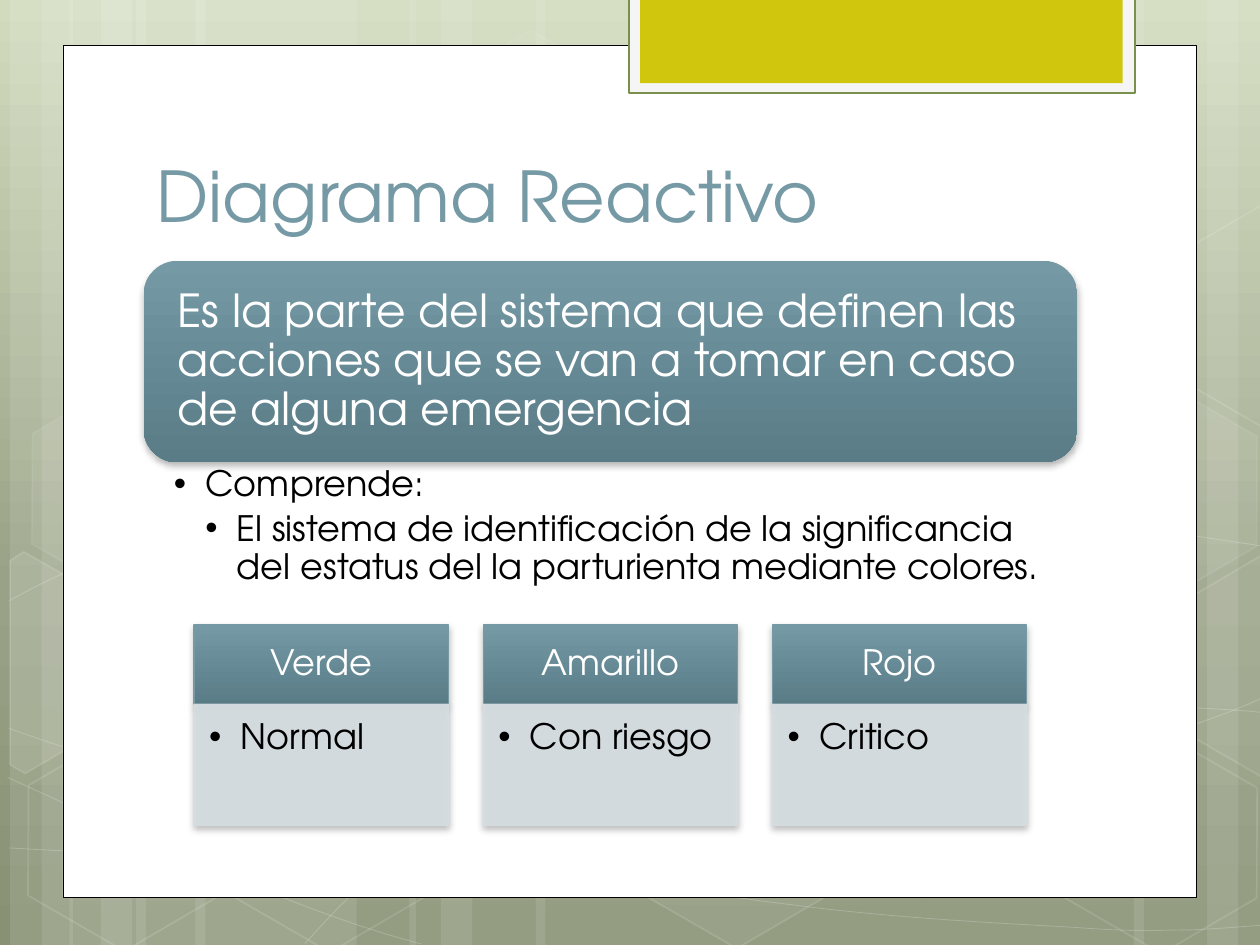
from copy import deepcopy

from lxml import etree
from pptx import Presentation
from pptx.dml.color import RGBColor
from pptx.enum.shapes import MSO_SHAPE
from pptx.enum.text import MSO_ANCHOR, MSO_AUTO_SIZE, PP_ALIGN
from pptx.oxml.ns import qn
from pptx.util import Inches, Pt

RECT, ROUNDED, HEXAGON = MSO_SHAPE.RECTANGLE, MSO_SHAPE.ROUNDED_RECTANGLE, MSO_SHAPE.HEXAGON
TOP, MIDDLE, BOTTOM = MSO_ANCHOR.TOP, MSO_ANCHOR.MIDDLE, MSO_ANCHOR.BOTTOM
LEFT, CENTER = PP_ALIGN.LEFT, PP_ALIGN.CENTER
NO_AUTOFIT = MSO_AUTO_SIZE.NONE
FONT = "TeX Gyre Adventor"
WHITE, BLACK, TEAL, PALE = "FFFFFF", "000000", "759AA5", "D6DEE1"
TEAL_GRADIENT = (TEAL, "597C87")


def paint(shape, fill=None, alpha=100, line=None, width=1, line_alpha=100, shadow=False):
    """Set fill (hex, or two hex colours for a gradient), outline and shadow."""
    if fill is None:
        shape.fill.background()
    elif isinstance(fill, tuple):
        shape.fill.gradient()
        shape.fill.gradient_angle = 270
        for stop, color in zip(shape.fill.gradient_stops, fill):
            stop.color.rgb = RGBColor.from_string(color)
    else:
        shape.fill.solid()
        shape.fill.fore_color.rgb = RGBColor.from_string(fill)
    if line is None:
        shape.line.fill.background()
    else:
        shape.line.color.rgb = RGBColor.from_string(line)
        shape.line.width = Pt(width)
    properties = shape._element.spPr
    for color_at, opacity in (("a:solidFill/a:srgbClr", alpha), ("a:ln//a:srgbClr", line_alpha)):
        for color in properties.xpath(color_at):
            if opacity < 100:
                etree.SubElement(color, qn("a:alpha"), val=str(opacity * 1000))
    shape.shadow.inherit = False
    if shadow:
        effects = properties.find(qn("a:effectLst"))
        outer = etree.SubElement(effects, qn("a:outerShdw"), blurRad=str(Pt(4)),
                                 dist=str(Pt(2)), dir="5400000", rotWithShape="0")
        color = etree.SubElement(outer, qn("a:srgbClr"), val=BLACK)
        etree.SubElement(color, qn("a:alpha"), val="28000")


def write(shape, text, size=20, color=BLACK, align=LEFT, anchor=TOP, insets=(0.1, 0.05, 0.1, 0.05),
          level=0, bullet_indent=None, spacing=0.9, after=0):
    """Add one formatted paragraph to a shape."""
    frame = shape.text_frame
    frame.word_wrap = True
    frame.auto_size = NO_AUTOFIT
    frame.vertical_anchor = anchor
    frame.margin_left, frame.margin_top, frame.margin_right, frame.margin_bottom = map(Inches, insets)
    paragraph = frame.add_paragraph() if frame.text else frame.paragraphs[0]
    if bullet_indent is not None:
        settings = paragraph._p.get_or_add_pPr()
        settings.set("marL", str(Inches(bullet_indent)))
        settings.set("indent", str(-Inches(0.25)))
        etree.SubElement(settings, qn("a:buFont"), typeface="Arial")
        etree.SubElement(settings, qn("a:buChar"), char="•")
    paragraph.level = level
    paragraph.alignment = align
    paragraph.line_spacing = spacing
    paragraph.space_before = Pt(0)
    paragraph.space_after = Pt(after)
    run = paragraph.add_run()
    run.text = text
    run.font.name = FONT
    run.font.size = Pt(size)
    run.font.color.rgb = RGBColor.from_string(color)


prs = Presentation()
prs.slide_width, prs.slide_height = Inches(10), Inches(7.5)
slide = prs.slides.add_slide(prs.slide_layouts[1])
shapes = slide.shapes

# Background gradient with three stops
backdrop = slide.background.fill
backdrop.gradient()
backdrop.gradient_angle = 270
first_stop = slide._element.xpath(".//p:bg//a:gs")[0]
first_stop.addnext(deepcopy(first_stop))
for stop, (position, color) in zip(backdrop.gradient_stops,
                                   [(0, "D2DBBE"), (0.62, "99A286"), (1, "889174")]):
    stop.position = position
    stop.color.rgb = RGBColor.from_string(color)

# Translucent vertical bands
for left, width in [(1.08, 1.75), (0.08, 0.5), (0.33, 0.83), (1.55, 1.75), (0.55, 0.5), (0.8, 0.83),
                    (7.33, 1.75), (9.58, 0.5), (9, 0.83), (4.25, 3.08), (3.25, 0.5), (3.5, 0.83)]:
    band = shapes.add_shape(RECT, Inches(left), 0, Inches(width), prs.slide_height)
    paint(band, WHITE, alpha=10)

# Fine curves: a start point, then three points for each Bézier segment
curves = [
    [(0.07, 6.73), (0.61, 6.76), (1.15, 6.79), (1.9, 6.78), (2.65, 6.77), (3.58, 6.75), (4.58, 6.65),
     (5.58, 6.55), (7, 6.36), (7.92, 6.17), (8.83, 5.98), (9.77, 5.68), (10.07, 5.51)],
    [(0.07, 4.77), (0.36, 4.61), (0.65, 4.46), (1.21, 4.31), (1.78, 4.16), (2.59, 3.94), (3.47, 3.87),
     (4.36, 3.8), (5.44, 3.79), (6.54, 3.87), (7.64, 3.95), (9.47, 4.26), (10.07, 4.34)],
    [(0.06, 6.17), (1.27, 6.72), (2.47, 7.27), (3.34, 7.49)],
    [(0.07, 5.78), (0.38, 5.89), (0.7, 6), (1.28, 6.16), (1.86, 6.31), (2.73, 6.56), (3.57, 6.73),
     (4.4, 6.9), (5.45, 7.08), (6.28, 7.18), (7.11, 7.29), (8, 7.33), (8.53, 7.36),
     (9.05, 7.4), (9.19, 7.38), (9.45, 7.38), (9.71, 7.37), (9.89, 7.35), (10.07, 7.34)],
    [(2.42, 7.49), (2.6, 7.29), (2.78, 7.09), (3.02, 6.91), (3.26, 6.73), (3.6, 6.53), (3.88, 6.39),
     (4.16, 6.25), (4.33, 6.19), (4.7, 6.09), (5.06, 5.99), (5.73, 5.85), (6.08, 5.78),
     (6.44, 5.71), (6.49, 5.71), (6.8, 5.69), (7.11, 5.66), (7.6, 5.63), (7.94, 5.62),
     (8.29, 5.61), (8.86, 5.62), (8.86, 5.62), (9.08, 5.62), (9.31, 5.62), (9.53, 5.62),
     (9.71, 5.63), (9.88, 5.64), (9.97, 5.65), (10.06, 5.66), (10.03, 5.65), (10.06, 5.66)],
]
for points in curves:
    start, *rest = [(Inches(x), Inches(y)) for x, y in points]
    builder = shapes.build_freeform(*start)
    builder.add_line_segments(rest, close=False)
    curve = builder.convert_to_shape()
    outline = curve._element.xpath(".//a:path")[0]
    steps = outline.findall(qn("a:lnTo"))
    for i in range(0, len(steps), 3):
        segment = etree.SubElement(outline, qn("a:cubicBezTo"))
        for step in steps[i:i + 3]:
            segment.append(step[0])
            outline.remove(step)
    paint(curve, line=WHITE, width=0.5, line_alpha=20)

# Hexagons: left, top, fill opacity (0 for none), line opacity
for left, top, alpha, line_alpha in [
        (3.34, 0.36, 4, 8), (4.97, 5.89, 6, 12), (0.11, 5.91, 0, 12), (0.14, 3.12, 7, 8),
        (1.74, 5.92, 0, 12), (7.53, 4.53, 10, 12), (8.34, 5.93, 0, 12), (8.34, 3.14, 7, 8)]:
    hexagon = shapes.add_shape(HEXAGON, Inches(left), Inches(top), Inches(1.75), Inches(1.52))
    hexagon.adjustments[0] = 0.285
    hexagon.rotation = 30
    paint(hexagon, WHITE if alpha else None, alpha, line=WHITE, line_alpha=line_alpha)

# Hexagons cut by the slide edges
for alpha, points in [
        (10, [(0.08, 4.45), (0.19, 4.38), (0.96, 4.82), (0.95, 5.7), (0.2, 6.14), (0.08, 6.07)]),
        (4, [(9.26, 4.85), (10.01, 4.41), (10.09, 4.46), (10.09, 6.13), (10.02, 6.17), (9.26, 5.73)]),
        (0, [(9.26, 2.07), (10.01, 1.63), (10.1, 1.68), (10.09, 3.35), (10.02, 3.39), (9.26, 2.95)])]:
    start, *rest = [(Inches(x), Inches(y)) for x, y in points]
    builder = shapes.build_freeform(*start)
    builder.add_line_segments(rest, close=True)
    paint(builder.convert_to_shape(), WHITE if alpha else None, alpha, line=WHITE, line_alpha=12)

# White page and the tab at its top
for box, fill, line, width in [((0.5, 0.36, 9, 6.76), WHITE, BLACK, 0.5),
                               ((4.99, -0.02, 4.02, 0.76), "F5F5F5", "7A8F4C", 1.25),
                               ((5.08, -0.02, 3.83, 0.68), "CFC60D", None, 0)]:
    paint(shapes.add_shape(RECT, *map(Inches, box)), fill, line=line, width=width)

# Title and list placeholders, brought in front of the page
title, contents = shapes.title, slide.placeholders[1]
for holder, box in [(title, (1.14, 0.68, 7.68, 1.25)), (contents, (1.14, 3.66, 7.41, 1.09))]:
    holder.left, holder.top, holder.width, holder.height = map(Inches, box)
    shapes._spTree.append(holder._element)
write(title, "Diagrama Reactivo", size=40, color=TEAL, anchor=BOTTOM, spacing=1)
for level, item in enumerate(["Comprende:", "El sistema de identificación de la significancia del estatus "
                              "del la parturienta mediante colores."], start=1):
    write(contents, item, level=level, bullet_indent=0.25 * level, after=4,
          insets=(0.24, 0.04, 0.2, 0.04))

# Definition
definition = shapes.add_shape(ROUNDED, Inches(1.14), Inches(2.07), Inches(7.41), Inches(1.6))
paint(definition, TEAL_GRADIENT, shadow=True)
write(definition, "Es la parte del sistema que definen las acciones que se van a tomar en caso de "
      "alguna emergencia", size=26, color=WHITE, anchor=MIDDLE, insets=(0.19, 0.18, 0.19, 0.18))

# Colour cards
first_left, last_left, card_width = 1.54, 6.13, 2.02
for i, (signal, status) in enumerate([("Verde", "Normal"), ("Amarillo", "Con riesgo"),
                                      ("Rojo", "Critico")]):
    left = Inches(first_left + i * (last_left - first_left) / 2)
    heading = shapes.add_shape(RECT, left, Inches(4.96), Inches(card_width), Inches(0.63))
    paint(heading, TEAL_GRADIENT, line=TEAL, width=0.75, shadow=True)
    write(heading, signal, color=WHITE, align=CENTER, anchor=MIDDLE, insets=(0.16, 0.09, 0.16, 0.09))
    detail = shapes.add_shape(RECT, left, Inches(5.59), Inches(card_width), Inches(0.96))
    paint(detail, PALE, alpha=90, line=PALE, width=0.75, line_alpha=90, shadow=True)
    write(detail, status, level=1, bullet_indent=0.25, insets=(0.12, 0.12, 0.16, 0.17))

prs.save("out.pptx")
